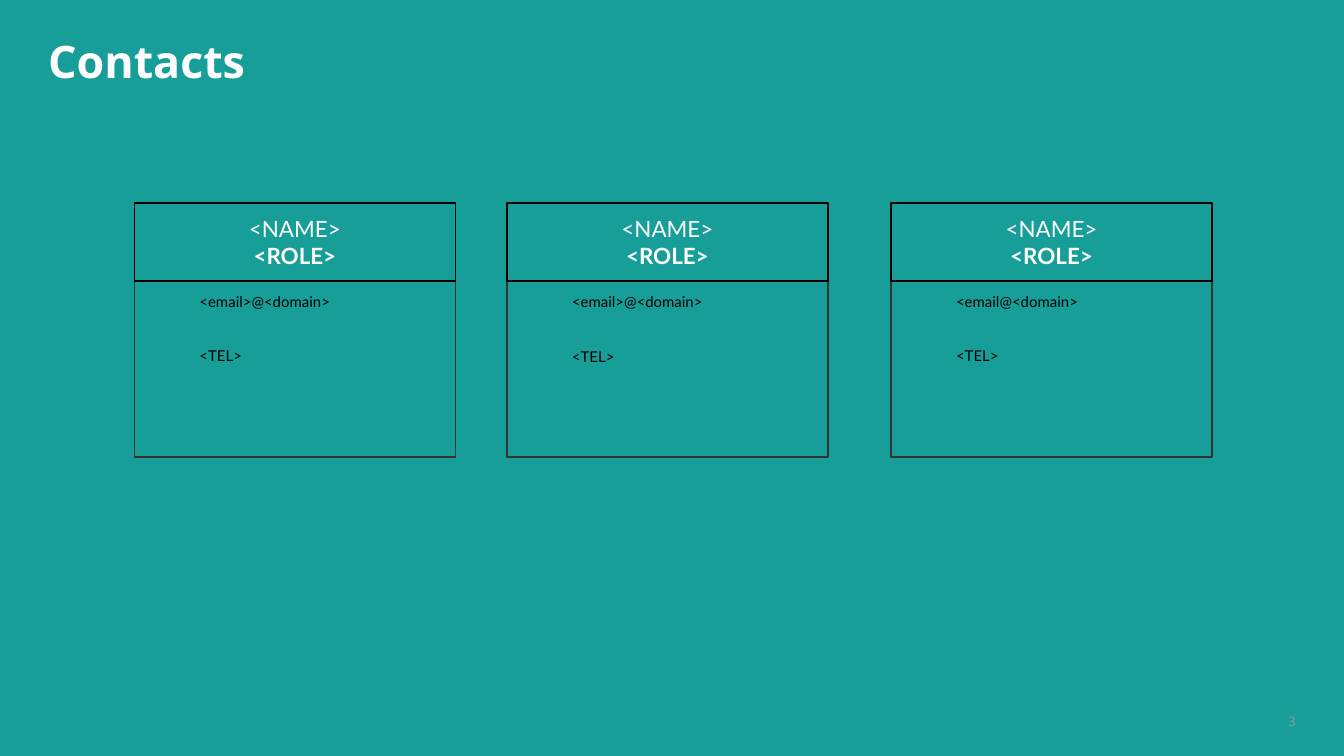
import pptx
import pptx.util
import pptx.dml.color
import pptx.enum.shapes
import pptx.enum.text

Cm = pptx.util.Cm
Pt = pptx.util.Pt
Align = pptx.enum.text.PP_ALIGN
Anchor = pptx.enum.text.MSO_ANCHOR
RECT = pptx.enum.shapes.MSO_SHAPE.RECTANGLE
TEAL, WHITE, BLACK, GREY = "189E99", "FEFEFE", "000000", "999999"


def color(code):
    return pptx.dml.color.RGBColor.from_string(code)


def write(shape, text, font, size, code, align=Align.LEFT, anchor=Anchor.TOP):
    frame = shape.text_frame
    frame.text = text
    frame.word_wrap = True
    frame.vertical_anchor = anchor
    frame.margin_left = frame.margin_right = Cm(0.25)
    frame.margin_top = frame.margin_bottom = Cm(0.25)
    for para in frame.paragraphs:
        para.alignment = align
        for run in para.runs:
            run.font.name = font
            run.font.size = Pt(size)
            run.font.color.rgb = color(code)
    return frame.paragraphs


deck = pptx.Presentation()
deck.slide_width = Cm(25.4)
deck.slide_height = Cm(14.29)
slide = deck.slides.add_slide(deck.slide_layouts[6])
slide.background.fill.solid()
slide.background.fill.fore_color.rgb = color(TEAL)

title = slide.shapes.add_textbox(Cm(0.66), Cm(0.51), Cm(19.91), Cm(1.63))
head = write(title, "Contacts", "Open Sans", 24, WHITE)[0]
head.line_spacing = 0.9
head.runs[0].font.bold = True

number = slide.shapes.add_textbox(Cm(23.93), Cm(13.39), Cm(0.81), Cm(0.48))
write(number, "3", "Open Sans", 7, GREY, Align.RIGHT, Anchor.MIDDLE)

cards = [
    (2.54, "<email>@<domain>", 6.38),
    (9.58, "<email>@<domain>", 6.4),
    (16.84, "<email@<domain>", 6.38),
]
for left, email, drop in cards:
    card = slide.shapes.add_group_shape().shapes

    body = card.add_shape(RECT, Cm(left), Cm(5.31), Cm(6.07), Cm(3.33))
    body.fill.background()
    body.line.color.rgb = color("333333")

    for text, top, height in [("<TEL>", drop, 1.02), (email, 5.36, 0.94)]:
        box = card.add_textbox(Cm(left + 0.98), Cm(top), Cm(5.08), Cm(height))
        write(box, text, "Lato", 8, BLACK)

    label = card.add_shape(RECT, Cm(left), Cm(3.84), Cm(6.07), Cm(1.47))
    label.fill.solid()
    label.fill.fore_color.rgb = color(TEAL)
    label.line.color.rgb = color(BLACK)
    lines = write(label, "<NAME>\n<ROLE>", "Lato", 12, WHITE,
                  Align.CENTER, Anchor.MIDDLE)
    lines[1].runs[0].font.bold = True

    for shape in (body, label):
        shape.line.width = Pt(0.75)
        shape.shadow.inherit = False

deck.save("out.pptx")
